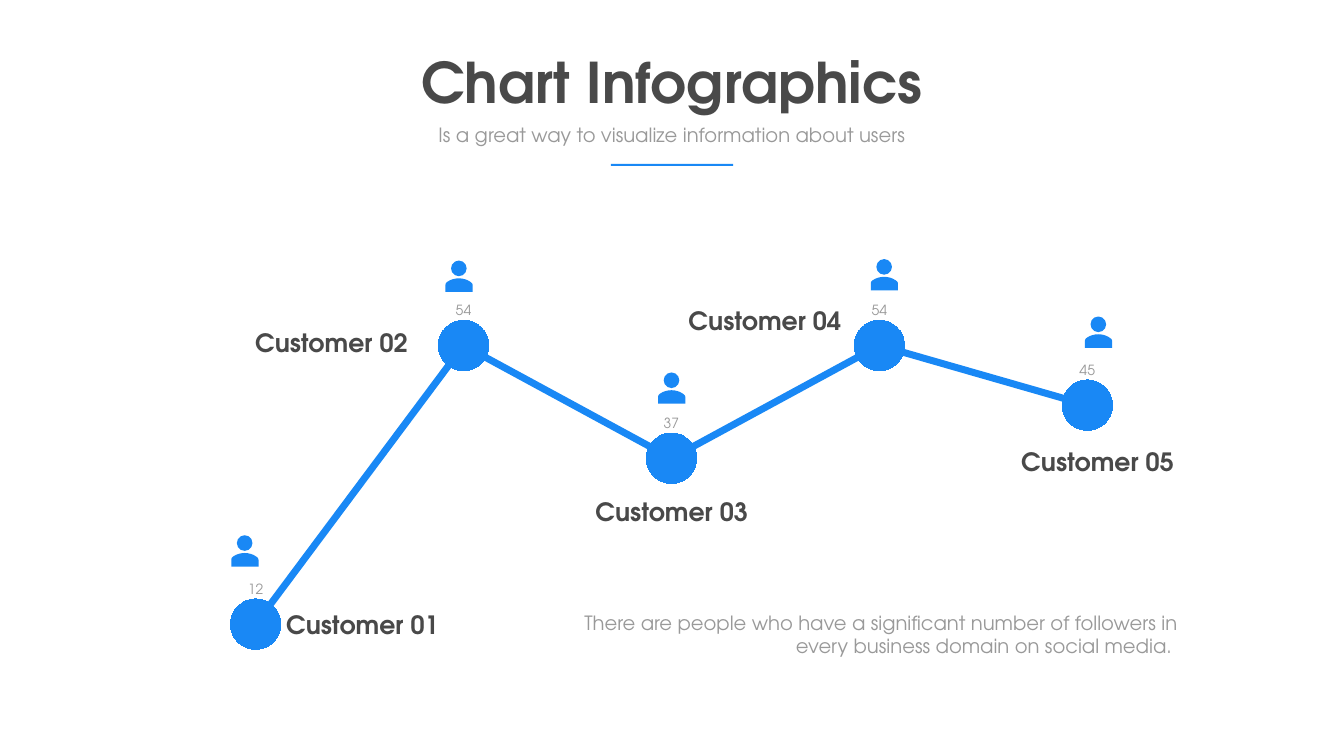
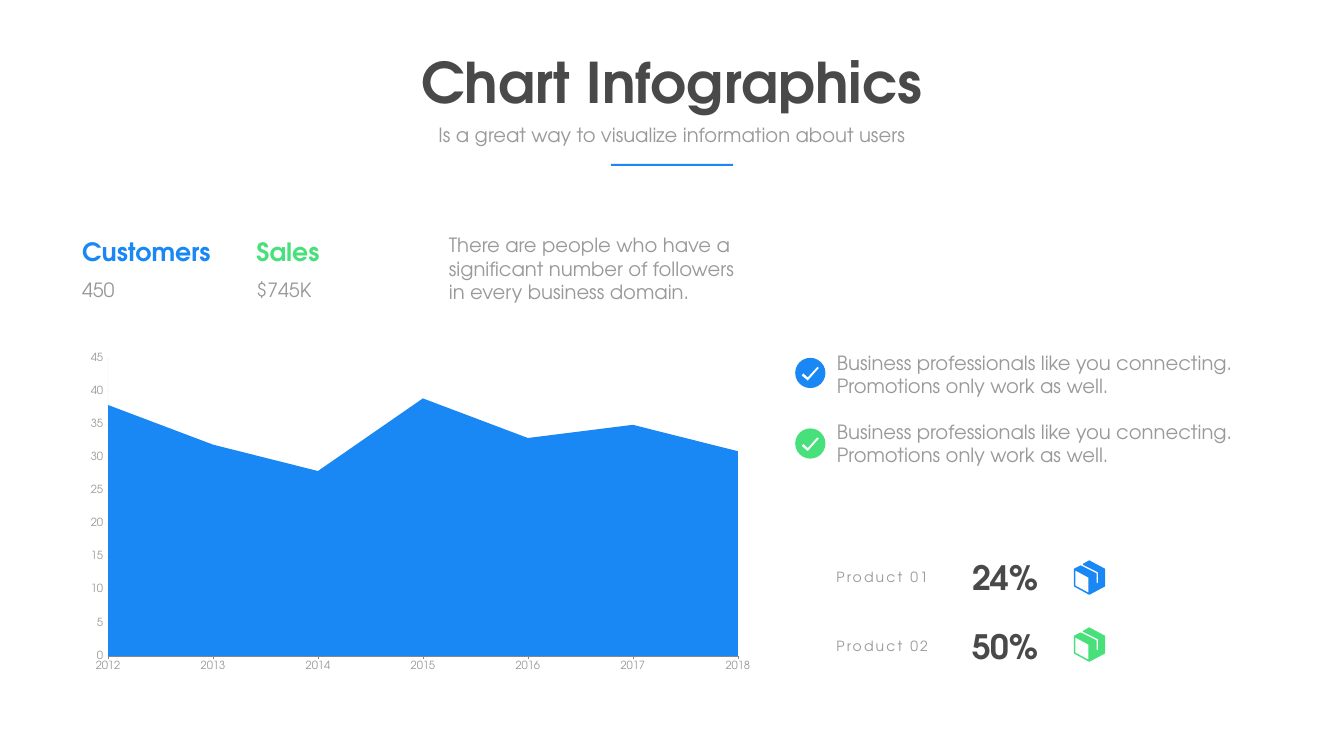
from lxml.etree import SubElement
from pptx import Presentation
from pptx.chart.data import CategoryChartData
from pptx.dml.color import RGBColor
from pptx.enum.chart import XL_CHART_TYPE, XL_LABEL_POSITION, XL_MARKER_STYLE, XL_TICK_MARK
from pptx.enum.shapes import MSO_SHAPE
from pptx.enum.text import MSO_AUTO_SIZE, PP_ALIGN
from pptx.oxml import parse_xml
from pptx.oxml.ns import nsdecls, qn
from pptx.util import Inches, Pt

FONT = "TeX Gyre Adventor"
BLUE, GREEN, DARK, GREY, WHITE = "1988F5", "48E07B", "494949", "999999", "FFFFFF"
LEFT, CENTER, RIGHT = PP_ALIGN.LEFT, PP_ALIGN.CENTER, PP_ALIGN.RIGHT

TITLE = "Chart Infographics"
SUBTITLE = "Is a great way to visualize information about users"

# Customer value, person icon corner, label corner, label alignment
CUSTOMERS = [
    (12, (4.59, 10.62), (5.58, 12.04), LEFT),
    (54, (8.84, 5.17), (4.77, 6.45), RIGHT),
    (37, (13.06, 7.39), (11.62, 9.79), CENTER),
    (54, (17.28, 5.14), (13.37, 6.01), RIGHT),
    (45, (21.53, 6.28), (20.07, 8.81), CENTER),
]
FOLLOWERS = ("There are people who have a significant number of followers in "
             "every business domain on social media. ")

YEARS = [str(year) for year in range(2012, 2019)]
YEARLY_SERIES = [
    ("Series 1", (38, 32, 28, 39, 33, 35, 31), BLUE),
    ("Series 2", (27, 17, 22, 18, 28, 26, 28), GREEN),
]
TOTALS = [("Customers", "450", BLUE), ("Sales", "$745K", GREEN)]
AUDIENCE = "There are people who have a significant number of followers in every business domain."
BENEFIT = "Business professionals like you connecting. Promotions only work as well."
BENEFITS = [(BENEFIT, BLUE, 6.91, 7.1), (BENEFIT, GREEN, 8.28, 8.5)]
PRODUCTS = [("Product 01", "24%", BLUE), ("Product 02", "50%", GREEN)]

# Icon outlines, in inches from the icon's corner
CHECK = [[(0.44, 0.18), (0.47, 0.2), (0.25, 0.45), (0.13, 0.35), (0.16, 0.31), (0.25, 0.39)]]
PARCEL = [
    [(0.61, 0.16), (0.31, 0), (0.3, 0), (0.19, 0.06), (0.18, 0.08), (0.19, 0.09),
     (0.47, 0.23), (0.48, 0.25), (0.48, 0.44), (0.46, 0.45), (0.45, 0.44), (0.45, 0.26),
     (0.44, 0.25), (0.14, 0.1), (0.13, 0.1), (0.01, 0.16), (0, 0.17), (0, 0.51),
     (0.01, 0.52), (0.3, 0.68), (0.31, 0.68), (0.61, 0.52), (0.62, 0.51), (0.62, 0.17)],
    [(0.29, 0.64), (0.03, 0.5), (0.03, 0.2), (0.29, 0.34)],
]


def colour(value):
    return RGBColor.from_string(value)


def style_font(font, size, value, bold=False):
    font.name, font.size, font.bold = FONT, Pt(size), bold
    font.color.rgb = colour(value)


def add_text(page, text, place, size, value=GREY, bold=False, align=LEFT, spacing=0):
    box = page.shapes.add_textbox(*map(Inches, place))
    frame = box.text_frame
    frame.word_wrap = True
    frame.auto_size = MSO_AUTO_SIZE.SHAPE_TO_FIT_TEXT
    frame.text = text
    para = frame.paragraphs[0]
    para.alignment = align
    span = para.runs[0]
    style_font(span.font, size, value, bold)
    if spacing:
        span.font._element.set("spc", str(spacing * 100))


def paint(shape, value):
    shape.shadow.inherit = False
    shape.fill.solid()
    shape.fill.fore_color.rgb = colour(value)
    shape.line.fill.background()


def add_filled(page, kind, place, value):
    paint(page.shapes.add_shape(kind, *map(Inches, place)), value)


def add_outline(page, contours, left, top, value):
    """Draw closed contours, later ones being holes, with 1000 units to the inch."""
    builder = None
    for contour in contours:
        points = [((left + x) * 1000, (top + y) * 1000) for x, y in contour]
        if builder is None:
            builder = page.shapes.build_freeform(*points[0], scale=Inches(1) / 1000)
        else:
            builder.move_to(*points[0])
        builder.add_line_segments(points[1:], close=True)
    paint(builder.convert_to_shape(), value)


def bezier(start, first, second, end, steps=8):
    """Points along a cubic curve, both ends included."""
    points = []
    for step in range(steps + 1):
        t = step / steps
        weights = ((1 - t) ** 3, 3 * t * (1 - t) ** 2, 3 * t * t * (1 - t), t ** 3)
        points.append(tuple(sum(w * p[axis] for w, p in zip(weights, (start, first, second, end)))
                            for axis in (0, 1)))
    return points


def add_person(page, left, top):
    shoulders = bezier((0.49, 0.42), (0.36, 0.33), (0.17, 0.33), (0.04, 0.42))
    left_side = bezier((0.04, 0.42), (0.01, 0.44), (0, 0.46), (0, 0.49))
    right_side = bezier((0.54, 0.49), (0.54, 0.46), (0.52, 0.44), (0.49, 0.42))
    body = shoulders + left_side[1:] + [(0, 0.62), (0.54, 0.62)] + right_side[:-1]
    add_outline(page, [body], left, top, BLUE)
    add_filled(page, MSO_SHAPE.OVAL, (left + 0.11, top, 0.31, 0.31), BLUE)


def add_plot(page, kind, categories, series, place, plot, size):
    """Add a chart whose inner plot area fills the given fractions of its frame."""
    data = CategoryChartData()
    data.categories = categories
    for name, values, _ in series:
        data.add_series(name, values)
    chart = page.shapes.add_chart(kind, *map(Inches, place), data).chart
    chart.has_legend = chart.has_title = False
    style_font(chart.font, size, GREY)
    chart.value_axis.has_major_gridlines = False
    chart.value_axis.minimum_scale = 0

    area = chart._chartSpace.find(".//" + qn("c:plotArea"))
    for old in area.findall(qn("c:layout")):
        area.remove(old)
    layout = parse_xml(f"<c:layout {nsdecls('c')}><c:manualLayout/></c:layout>")
    settings = [("layoutTarget", "inner"), ("xMode", "edge"), ("yMode", "edge")]
    for tag, value in settings + list(zip("xywh", plot)):
        SubElement(layout[0], qn("c:" + tag)).set("val", str(value))
    area.insert(0, layout)
    return chart


def add_heading(page):
    add_text(page, TITLE, (6.88, 0.9, 12.91, 1.45), 80, DARK, True, CENTER)
    add_text(page, SUBTITLE, (8.55, 2.38, 9.56, 0.57), 28, align=CENTER)
    add_filled(page, MSO_SHAPE.RECTANGLE, (12.12, 3.25, 2.43, 0.04), BLUE)


def build_customers(page):
    add_heading(page)
    values = [customer[0] for customer in CUSTOMERS]
    chart = add_plot(page, XL_CHART_TYPE.LINE_MARKERS, "12345", [("Series 1", values, BLUE)],
                     (2.58, 5.9, 21.49, 8.23), (0.02, 0.02, 0.96, 0.96), 18)
    chart.value_axis.maximum_scale = 60
    chart.value_axis.visible = chart.category_axis.visible = False
    plot = chart.plots[0]
    plot.vary_by_categories = False
    line = plot.series[0]
    line.smooth = False
    line.format.line.color.rgb = colour(BLUE)
    line.format.line.width = Pt(10)
    line.marker.style = XL_MARKER_STYLE.CIRCLE
    line.marker.size = 72
    line.marker.format.fill.solid()
    line.marker.format.fill.fore_color.rgb = colour(BLUE)
    line.marker.format.line.fill.background()
    labels = line.data_labels
    labels.show_value = True
    labels.position = XL_LABEL_POSITION.ABOVE
    style_font(labels.font, 20, GREY)

    for number, (_, person, corner, align) in enumerate(CUSTOMERS, 1):
        add_person(page, *person)
        add_text(page, f"Customer {number:02}", (*corner, 3.42, 0.71), 36, DARK, True, align)
    add_text(page, FOLLOWERS, (11.44, 12.07, 12.02, 1.04), 28, align=RIGHT)


def build_sales(page):
    add_heading(page)
    chart = add_plot(page, XL_CHART_TYPE.AREA, YEARS, YEARLY_SERIES,
                     (1.53, 6.91, 13.63, 6.55), (0.045, 0.032, 0.917, 0.9), 16)
    plot = chart.plots[0]
    plot.vary_by_categories = False
    for series, (_, _, value) in zip(plot.series, YEARLY_SERIES):
        series.format.fill.solid()
        series.format.fill.fore_color.rgb = colour(value)
        series.format.line.fill.background()
    axis = chart.value_axis
    axis.maximum_scale, axis.major_unit = 45, 5
    axis.format.line.width = Pt(0.75)
    axis.format.line.color.rgb = colour("808080")
    axis_colour = axis._element.find(f"{qn('c:spPr')}//{qn('a:srgbClr')}")
    SubElement(axis_colour, qn("a:alpha")).set("val", "10000")
    for each in (axis, chart.category_axis):
        each.major_tick_mark = XL_TICK_MARK.OUTSIDE
        each.minor_tick_mark = XL_TICK_MARK.NONE
    crossing = axis._element.find(qn("c:crossBetween"))
    if crossing is not None:
        crossing.set("val", "midCat")

    for column, (name, total, value) in enumerate(TOTALS):
        left = 1.53 + 3.46 * column
        add_text(page, name, (left, 4.63, 3.04, 0.71), 36, value, True)
        add_text(page, total, (left, 5.46, 3.04, 0.57), 28)
    add_text(page, AUDIENCE, (8.81, 4.58, 5.96, 1.51), 28)

    for text, value, text_top, icon_top in BENEFITS:
        add_filled(page, MSO_SHAPE.OVAL, (15.78, icon_top, 0.6, 0.6), value)
        add_outline(page, CHECK, 15.78, icon_top, WHITE)
        add_text(page, text, (16.51, text_top, 8.27, 1.04), 28)

    for row, (name, share, value) in enumerate(PRODUCTS):
        add_text(page, share, (19.19, 11.01 + 1.35 * row, 1.76, 0.91), 48, DARK, True)
        add_text(page, name, (16.5, 11.24 + 1.36 * row, 2.58, 0.44), 20, spacing=3)
        add_outline(page, PARCEL, 21.31, 11.12 + 1.33 * row, value)


def main():
    deck = Presentation()
    deck.slide_width, deck.slide_height = Inches(26.67), Inches(15)
    for build in (build_customers, build_sales):
        build(deck.slides.add_slide(deck.slide_layouts[6]))
    deck.save("out.pptx")


if __name__ == "__main__":
    main()
